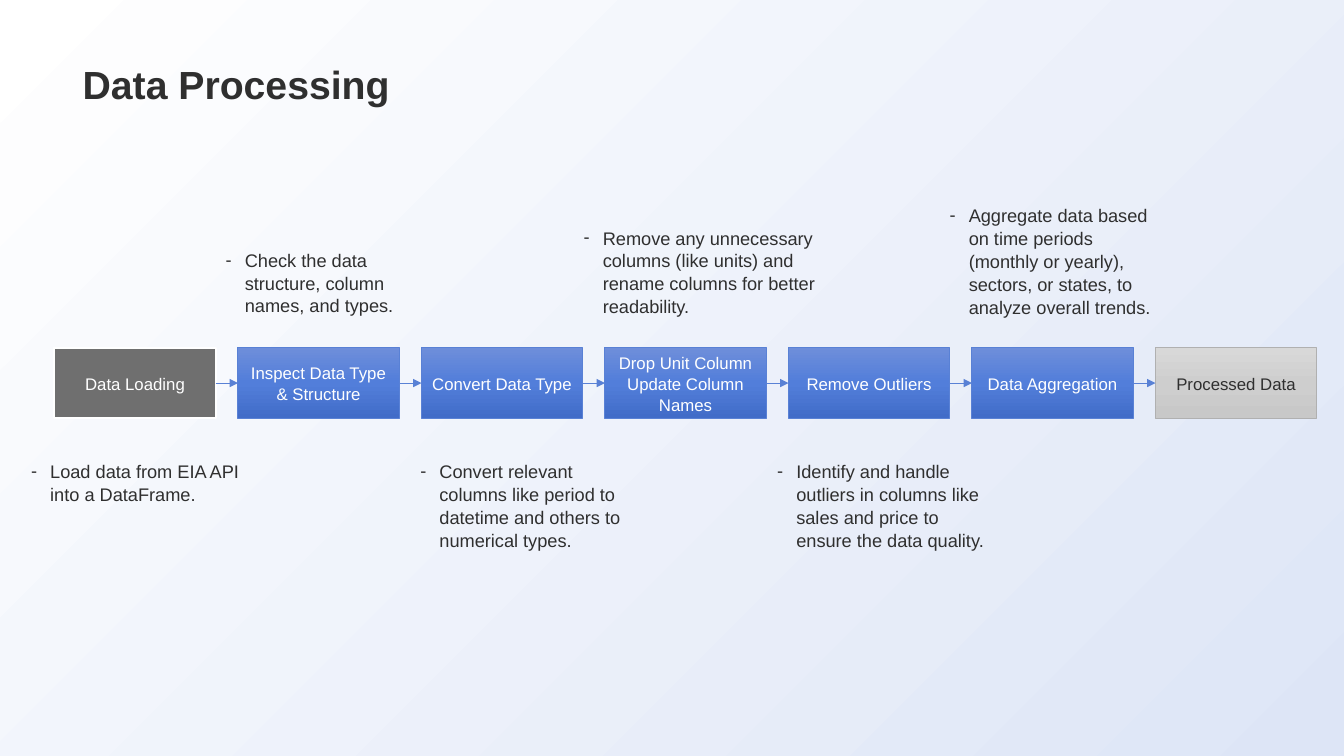
from pptx import Presentation
from pptx.dml.color import RGBColor
from pptx.enum.shapes import MSO_CONNECTOR as Connector, MSO_SHAPE as Shape
from pptx.enum.text import MSO_ANCHOR as Anchor, MSO_AUTO_SIZE as AutoSize, PP_ALIGN as Align
from pptx.oxml.ns import qn
from pptx.util import Inches, Pt
from lxml.etree import SubElement

# Content
TITLE = "Data Processing"
STEPS = [  # label, style
    ("Data Loading", "start"),
    ("Inspect Data Type & Structure", "step"),
    ("Convert Data Type", "step"),
    ("Drop Unit Column Update Column Names", "step"),
    ("Remove Outliers", "step"),
    ("Data Aggregation", "step"),
    ("Processed Data", "end"),
]
NOTES = [  # text, side of the flow, left, width, number of lines
    ("Load data from EIA API into a DataFrame.", "below", 0.21, 2.27, 2),
    ("Check the data structure, column names, and types.", "above", 2.14, 2.27, 3),
    ("Convert relevant columns like period to datetime and others to numerical types.",
     "below", 4.07, 2.27, 4),
    ("Remove any unnecessary columns (like units) and rename columns for better readability.",
     "above", 5.69, 2.59, 4),
    ("Identify and handle outliers in columns like sales and price to ensure the data quality.",
     "below", 7.61, 2.27, 4),
    ("Aggregate data based on time periods (monthly or yearly), sectors, or states, "
     "to analyze overall trends.", "above", 9.32, 2.27, 5),
]

# Look
FONT = "Arial"
COLORS = {"text": "2F2F2F", "white": "FFFFFF", "blue": "5981D5"}
BACKGROUND = ["DDE5F6", "FFFFFF"]
STYLES = {  # fill stops from top to bottom, line colour, line width, text colour
    "start": (["6F6F6F"], "FFFFFF", 1.5, COLORS["white"]),
    "step": (["6E8EDA", "527EDA", "416CC8"], COLORS["blue"], 0.75, COLORS["white"]),
    "end": (["D8D8D8", "CECECE", "C8C8C8"], "B0B0B0", 0.75, COLORS["text"]),
}

# Layout in inches
BOX_LEFT, BOX_TOP, BOX_WIDTH, BOX_HEIGHT = 0.54, 3.45, 1.6, 0.7
BOX_PITCH = 1.82
NOTE_BOTTOM_ABOVE, NOTE_TOP_BELOW = 3.17, 4.51
NOTE_LINE, NOTE_PADDING, NOTE_INDENT = 0.22, 0.1, 0.19
LINE_SPACING = 1.05


def rgb(color):
    return RGBColor.from_string(color)


def paint(fill, element, colors, angle):
    """Fill solid with one colour, or with evenly spaced gradient stops."""
    if len(colors) == 1:
        fill.solid()
        fill.fore_color.rgb = rgb(colors[0])
        return
    fill.gradient()
    fill.gradient_angle = angle
    stops = element.find(".//" + qn("a:gsLst"))
    for stop in list(stops):
        stops.remove(stop)
    for index, color in enumerate(colors):
        position = 100000 * index // (len(colors) - 1)
        stop = SubElement(stops, qn("a:gs"), pos=str(position))
        SubElement(stop, qn("a:srgbClr"), val=color)


def write(paragraph, text, size, color, align=Align.LEFT, bold=False):
    paragraph.alignment = align
    run = paragraph.add_run()
    run.text = text
    run.font.name = FONT
    run.font.size = Pt(size)
    run.font.bold = bold
    run.font.color.rgb = rgb(color)


def add_title(slide):
    title = slide.shapes.title
    title.left, title.top = Inches(0.72), Inches(0.14)
    title.width, title.height = Inches(11.88), Inches(0.98)
    title.text_frame.auto_size = AutoSize.NONE
    title.text_frame.vertical_anchor = Anchor.BOTTOM
    write(title.text_frame.paragraphs[0], TITLE, 28, COLORS["text"], bold=True)


def add_step(slide, index, label, style):
    stops, line_color, line_width, text_color = STYLES[style]
    box = slide.shapes.add_shape(
        Shape.RECTANGLE, Inches(BOX_LEFT + index * BOX_PITCH), Inches(BOX_TOP),
        Inches(BOX_WIDTH), Inches(BOX_HEIGHT))
    box.shadow.inherit = False
    paint(box.fill, box._element.spPr, stops, 270)
    box.line.color.rgb = rgb(line_color)
    box.line.width = Pt(line_width)
    box.text_frame.word_wrap = True
    box.text_frame.vertical_anchor = Anchor.MIDDLE
    paragraph = box.text_frame.paragraphs[0]
    paragraph.line_spacing = LINE_SPACING
    write(paragraph, label, 12, text_color, Align.CENTER)
    return box


def add_arrow(slide, source, target):
    arrow = slide.shapes.add_connector(Connector.STRAIGHT, 0, 0, 0, 0)
    arrow.begin_connect(source, 3)
    arrow.end_connect(target, 1)
    arrow.line.color.rgb = rgb(COLORS["blue"])
    arrow.line.width = Pt(0.75)
    properties = arrow._element.spPr
    SubElement(properties.find(qn("a:ln")), qn("a:tailEnd"), type="triangle")
    SubElement(properties, qn("a:effectLst"))


def add_note(slide, text, side, left, width, lines):
    height = NOTE_PADDING + NOTE_LINE * lines
    top = NOTE_BOTTOM_ABOVE - height if side == "above" else NOTE_TOP_BELOW
    note = slide.shapes.add_textbox(Inches(left), Inches(top), Inches(width), Inches(height))
    note.text_frame.word_wrap = True
    paragraph = note.text_frame.paragraphs[0]
    paragraph.line_spacing = LINE_SPACING
    write(paragraph, text, 13, COLORS["text"])
    properties = paragraph._p.get_or_add_pPr()
    properties.set("marL", str(Inches(NOTE_INDENT)))
    properties.set("indent", str(-Inches(NOTE_INDENT)))
    SubElement(properties, qn("a:buFont"), typeface=FONT)
    SubElement(properties, qn("a:buChar"), char="-")


def main():
    presentation = Presentation()
    presentation.slide_width, presentation.slide_height = Inches(13.33), Inches(7.5)
    slide = presentation.slides.add_slide(presentation.slide_layouts[5])
    paint(slide.background.fill, slide._element, BACKGROUND, 135)
    add_title(slide)

    # Process flow
    boxes = [add_step(slide, index, *step) for index, step in enumerate(STEPS)]
    for source, target in zip(boxes, boxes[1:]):
        add_arrow(slide, source, target)

    # Explanations above and below the flow
    for note in NOTES:
        add_note(slide, *note)

    presentation.save("out.pptx")


if __name__ == "__main__":
    main()
